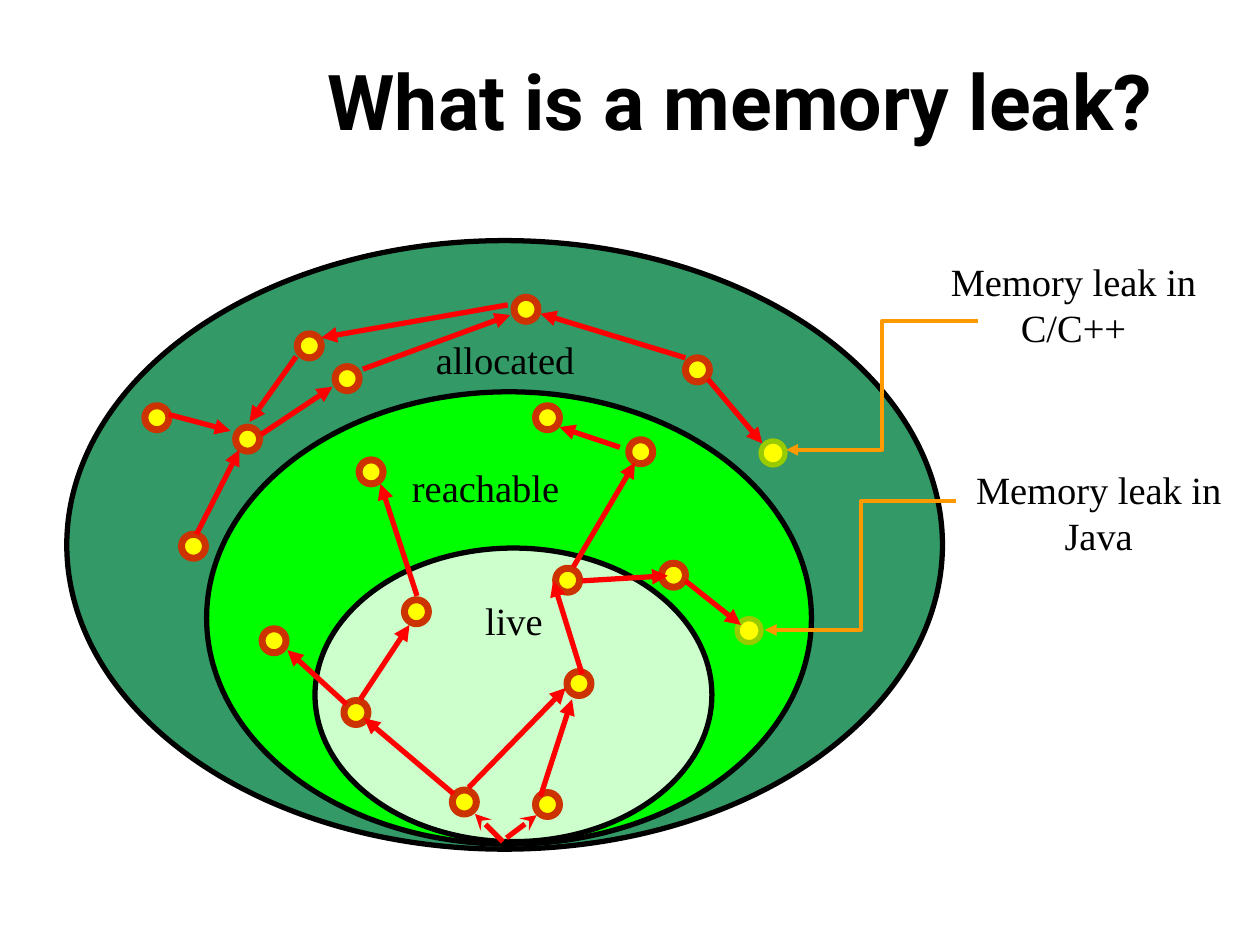
import lxml.etree
import pptx
import pptx.util
import pptx.dml.color
import pptx.enum.shapes
import pptx.enum.text
import pptx.oxml.ns

Inches = pptx.util.Inches
Pt = pptx.util.Pt
RGBColor = pptx.dml.color.RGBColor
Shape = pptx.enum.shapes.MSO_SHAPE
Link = pptx.enum.shapes.MSO_CONNECTOR
Anchor = pptx.enum.text.MSO_ANCHOR
Align = pptx.enum.text.PP_ALIGN
Fit = pptx.enum.text.MSO_AUTO_SIZE

BLACK = RGBColor(0x00, 0x00, 0x00)
TEAL = RGBColor(0x33, 0x99, 0x66)
GREEN = RGBColor(0x00, 0xFF, 0x00)
MINT = RGBColor(0xCC, 0xFF, 0xCC)
YELLOW = RGBColor(0xFF, 0xFF, 0x00)
RUST = RGBColor(0xCC, 0x33, 0x00)
LIME = RGBColor(0x99, 0xCC, 0x00)
RED = RGBColor(0xFF, 0x00, 0x00)
ORANGE = RGBColor(0xFF, 0x99, 0x00)

SERIF = "Times New Roman"
DOT = 0.19

ZONES = [
    ("allocated", 0, 0, 6.95, 4.83, TEAL, 0.09),
    ("reachable", 1.11, 1.2, 4.8, 3.59, GREEN, 0.47),
    ("live", 1.97, 2.44, 3.15, 2.33, MINT, 0.09),
]
NODES = [
    (0.62, 1.31), (1.83, 0.74), (3.55, 0.45), (0.91, 2.33), (3.97, 3.42),
    (4.46, 1.58), (4.72, 2.56), (3.88, 2.6), (3.72, 4.38), (3.72, 1.31),
    (2.32, 1.74), (4.91, 0.93), (1.34, 1.48), (2.13, 1), (3.06, 4.36),
    (1.55, 3.08), (2.2, 3.65), (2.68, 2.85),
]
LEAKS = [(5.51, 1.59), (5.32, 3)]
REFS = [
    (1.03, 2.33, 1.37, 1.66), (1.82, 0.92, 1.45, 1.44),
    (2.35, 1.02, 3.52, 0.59), (4.91, 0.93, 3.76, 0.58),
    (5.09, 1.1, 5.52, 1.61), (3.5, 0.51, 2.02, 0.77),
    (1.54, 1.54, 2.11, 1.16), (0.81, 1.38, 1.3, 1.51),
    (2.22, 3.68, 1.75, 3.25), (2.33, 3.64, 2.72, 3.05),
    (3.07, 4.39, 2.36, 3.79), (3.19, 4.34, 3.96, 3.55),
    (4.09, 3.44, 3.86, 2.7), (2.78, 2.82, 2.49, 1.93),
    (4.02, 2.59, 4.51, 1.76), (4.09, 2.7, 4.77, 2.66),
    (4.91, 2.7, 5.35, 3.05), (4.39, 1.64, 3.91, 1.48),
    (3.76, 4.41, 4.01, 3.64),
]
ROOTS = [(3.46, 4.77, 3.24, 4.55), (3.49, 4.74, 3.73, 4.56)]


def style(frame, text, font, size, align, bold=False):
    frame.text = text
    frame.word_wrap = True
    para = frame.paragraphs[0]
    para.alignment = align
    face = para.runs[0].font
    face.name, face.size, face.bold = font, Pt(size), bold
    face.color.rgb = BLACK


def oval(slide, x, y, w, h, fill, edge, width):
    shape = slide.shapes.add_shape(
        Shape.OVAL, Inches(x), Inches(y), Inches(w), Inches(h))
    shape.shadow.inherit = False
    shape.fill.solid()
    shape.fill.fore_color.rgb = fill
    shape.line.color.rgb = edge
    shape.line.width = Pt(width)
    return shape


def arrow(slide, kind, start, end, color, width, mark, head="triangle"):
    line = slide.shapes.add_connector(
        kind, Inches(start[0]), Inches(start[1]), Inches(end[0]), Inches(end[1]))
    line.line.color.rgb = color
    line.line.width = Pt(width)
    props = line._element.spPr
    qn = pptx.oxml.ns.qn
    lxml.etree.SubElement(props.find(qn("a:ln")), qn("a:" + mark), type=head)
    lxml.etree.SubElement(props, qn("a:effectLst"))


def heading(slide, x, y, w, h):
    title = slide.shapes.title
    title.left, title.top = Inches(x), Inches(y)
    title.width, title.height = Inches(w), Inches(h)
    frame = title.text_frame
    frame.auto_size = Fit.NONE
    frame.vertical_anchor = Anchor.MIDDLE
    style(frame, "What is a memory leak?", "Roboto", 44, Align.RIGHT, True)


def heap(slide, x, y):
    for name, dx, dy, w, h, fill, inset in ZONES:
        zone = oval(slide, x + dx, y + dy, w, h, fill, BLACK, 3)
        frame = zone.text_frame
        frame.vertical_anchor = Anchor.TOP
        frame.margin_right = Inches(inset)
        style(frame, name, SERIF, 22, Align.CENTER)
    for spots, edge, width in ((NODES, RUST, 4), (LEAKS, LIME, 3)):
        for dx, dy in spots:
            oval(slide, x + dx, y + dy, DOT, DOT, YELLOW, edge, width)
    for links, head in ((REFS, "triangle"), (ROOTS, "stealth")):
        for ax, ay, bx, by in links:
            arrow(slide, Link.STRAIGHT, (x + ax, y + ay), (x + bx, y + by),
                  RED, 3, "tailEnd", head)


def callout(slide, x, y, text, dx, dy, width):
    arrow(slide, Link.ELBOW, (x, y + 1.02), (x + 1.52, y), ORANGE, 2.25, "headEnd")
    label = slide.shapes.add_textbox(
        Inches(x + dx), Inches(y + dy), Inches(width), Inches(0.83))
    frame = label.text_frame
    frame.vertical_anchor = Anchor.MIDDLE
    style(frame, text, SERIF, 22, Align.CENTER)


def main():
    deck = pptx.Presentation()
    deck.slide_width, deck.slide_height = Inches(10), Inches(7.5)
    slide = deck.slides.add_slide(deck.slide_layouts[5])
    heading(slide, 0.75, 0.33, 8.5, 0.92)
    heap(slide, 0.53, 1.91)
    callout(slide, 6.07, 3.98, "Memory leak in Java", 1.54, -0.33, 2.22)
    callout(slide, 6.24, 2.55, "Memory leak in C/C++", 1.07, -0.55, 2.42)
    deck.save("out.pptx")


if __name__ == "__main__":
    main()
